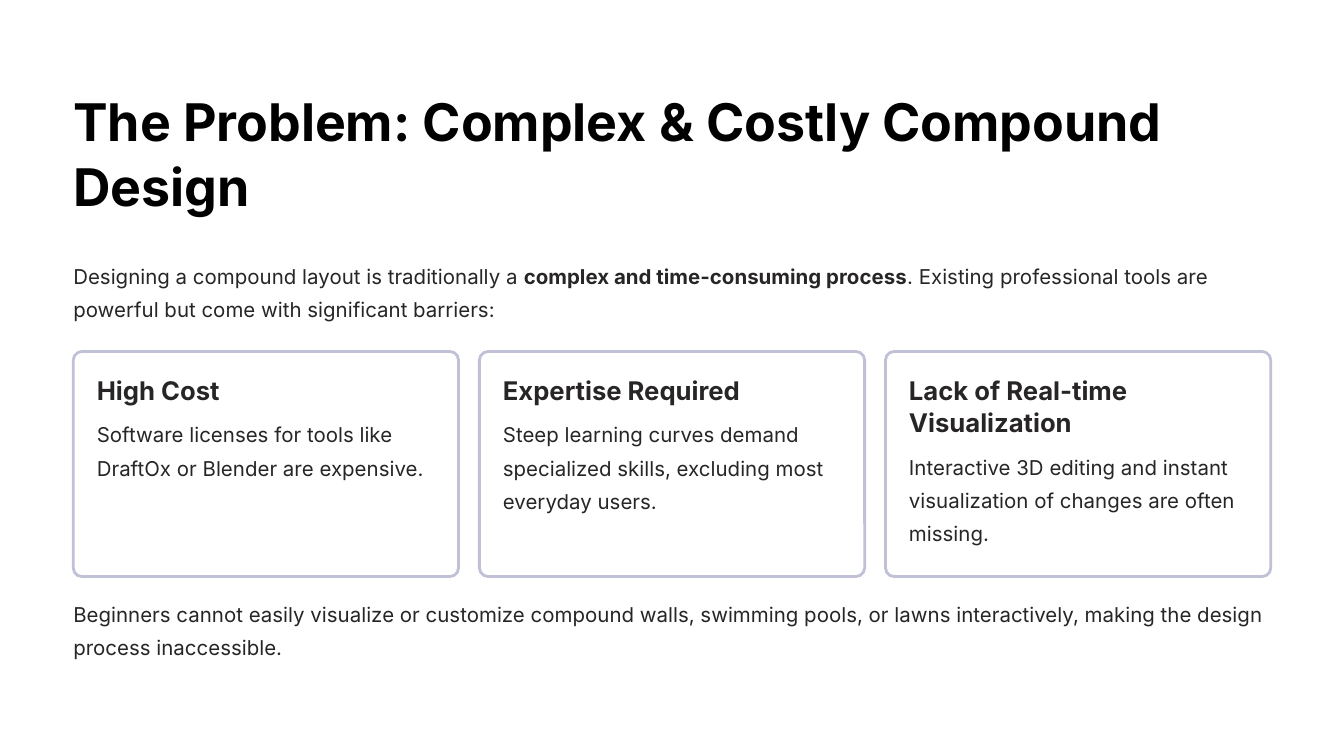
from dataclasses import dataclass

from pptx import Presentation
from pptx.dml.color import RGBColor as Color
from pptx.enum.shapes import MSO_SHAPE as Preset
from pptx.enum.text import MSO_ANCHOR as Anchor
from pptx.util import Inches, Pt


@dataclass(frozen=True)
class TextStyle:
    size: float
    leading: float
    color: str
    bold: bool = False


@dataclass(frozen=True)
class Theme:
    font: str = "Inter"
    background: str = "FFFFFF"
    border: str = "C0C1D7"
    border_width: float = 3
    title: TextStyle = TextStyle(55.6, 69.4, "000000", True)
    heading: TextStyle = TextStyle(27.5, 34.4, "272525", True)
    body: TextStyle = TextStyle(21.9, 35.6, "272525")


@dataclass(frozen=True)
class Box:
    left: float
    top: float
    width: float
    height: float

    def lengths(self):
        return [Inches(n) for n in (self.left, self.top, self.width, self.height)]

    def columns(self, count, gap):
        width = (self.width - gap * (count - 1)) / count
        return [Box(self.left + i * (width + gap), self.top, width, self.height)
                for i in range(count)]


THEME = Theme()
WIDTH, HEIGHT = 20, 11.25
MARGIN = 1.09
CONTENT_WIDTH = WIDTH - 2 * MARGIN
CARD_GAP = 0.31
CARD_PADDING = 0.35
CARD_RADIUS = 0.13
HEADING_GAP = 0.12

TITLE = "The Problem: Complex & Costly Compound Design"
# Each run is its text and whether it is emphasised
INTRO = [
    ("Designing a compound layout is traditionally a ", False),
    ("complex and time-consuming process", True),
    (". Existing professional tools are powerful but come with "
     "significant barriers:", False),
]
# Heading, lines the heading takes, description
BARRIERS = [
    ("High Cost", 1,
     "Software licenses for tools like DraftOx or Blender are expensive."),
    ("Expertise Required", 1,
     "Steep learning curves demand specialized skills, excluding most "
     "everyday users."),
    ("Lack of Real-time Visualization", 2,
     "Interactive 3D editing and instant visualization of changes are often "
     "missing."),
]
CLOSING = ("Beginners cannot easily visualize or customize compound walls, "
           "swimming pools, or lawns interactively, making the design process "
           "inaccessible.")


def add_text(slide, box, runs, style):
    """Place one paragraph of (text, emphasised) runs in the box."""
    text_frame = slide.shapes.add_textbox(*box.lengths()).text_frame
    text_frame.word_wrap = True
    text_frame.vertical_anchor = Anchor.TOP
    text_frame.margin_left = text_frame.margin_right = 0
    text_frame.margin_top = text_frame.margin_bottom = 0
    paragraph = text_frame.paragraphs[0]
    paragraph.line_spacing = Pt(style.leading)
    for text, emphasised in runs:
        run = paragraph.add_run()
        run.text = text
        run.font.name = THEME.font
        run.font.size = Pt(style.size)
        run.font.bold = style.bold or emphasised
        run.font.color.rgb = Color.from_string(style.color)


def add_card(slide, box, heading, heading_lines, description):
    # Outlined panel
    panel = slide.shapes.add_shape(Preset.ROUNDED_RECTANGLE, *box.lengths())
    panel.adjustments[0] = CARD_RADIUS / min(box.width, box.height)
    panel.shadow.inherit = False
    panel.fill.solid()
    panel.fill.fore_color.rgb = Color.from_string(THEME.background)
    panel.line.color.rgb = Color.from_string(THEME.border)
    panel.line.width = Pt(THEME.border_width)

    # Heading, with the description directly below it
    left, top = box.left + CARD_PADDING, box.top + CARD_PADDING - 0.02
    width = box.width - 2 * CARD_PADDING
    heading_height = heading_lines * THEME.heading.leading / 72
    add_text(slide, Box(left, top, width, heading_height),
             [(heading, False)], THEME.heading)
    body_top = top + heading_height + HEADING_GAP
    add_text(slide, Box(left, body_top, width, 1.58),
             [(description, False)], THEME.body)


def add_barriers(slide, box):
    columns = box.columns(len(BARRIERS), CARD_GAP)
    for column, barrier in zip(columns, BARRIERS):
        add_card(slide, column, *barrier)


def build_problem_slide(presentation):
    slide = presentation.slides.add_slide(presentation.slide_layouts[6])
    slide.background.fill.solid()
    slide.background.fill.fore_color.rgb = Color.from_string(THEME.background)

    def row(top, height):
        return Box(MARGIN, top, CONTENT_WIDTH, height)

    add_text(slide, row(1.3, 1.97), [(TITLE, False)], THEME.title)
    add_text(slide, row(3.8, 1.09), INTRO, THEME.body)
    add_barriers(slide, row(5.23, 3.35))
    add_text(slide, row(8.83, 1.09), [(CLOSING, False)], THEME.body)


def main():
    presentation = Presentation()
    presentation.slide_width = Inches(WIDTH)
    presentation.slide_height = Inches(HEIGHT)
    build_problem_slide(presentation)
    presentation.save("out.pptx")


if __name__ == "__main__":
    main()
